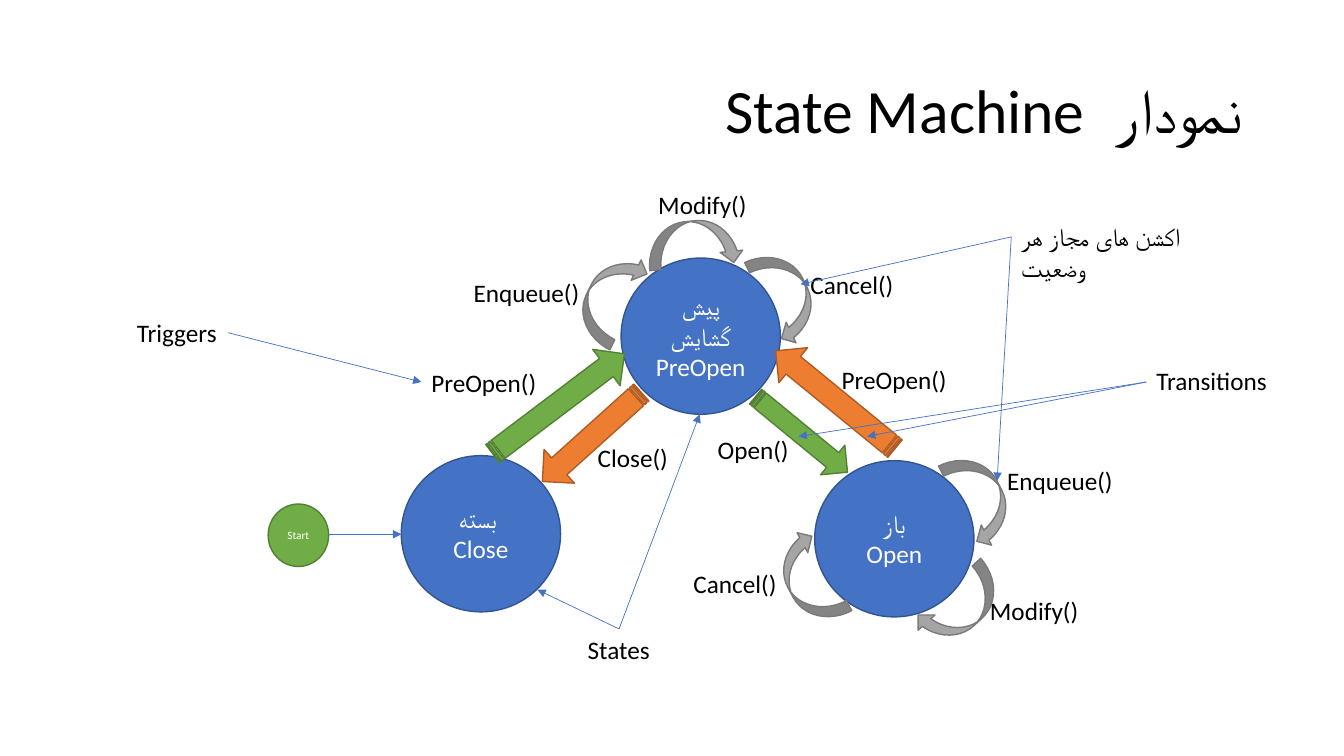
from dataclasses import dataclass

from lxml.etree import SubElement
from pptx import Presentation
from pptx.dml.color import RGBColor
from pptx.enum.shapes import MSO_CONNECTOR as Connector, MSO_SHAPE as Shape
from pptx.enum.text import MSO_ANCHOR as Anchor, PP_ALIGN as Align
from pptx.oxml.ns import qn
from pptx.util import Inches, Pt


@dataclass(frozen=True)
class Theme:
    font: str = "Calibri"
    title_size: int = 44
    text_size: int = 18
    start_size: int = 8
    text: str = "000000"
    light: str = "FFFFFF"
    pointer: str = "4472C4"
    # Fill and outline pairs
    state: tuple = ("4472C4", "325491")
    forward: tuple = ("70AD47", "538035")
    back: tuple = ("ED7D31", "AF5C24")
    action: tuple = ("A5A5A5", "7A7A7A")


theme = Theme()
deck = Presentation()
deck.slide_width, deck.slide_height = Inches(13.33), Inches(7.5)
page = deck.slides.add_slide(deck.slide_layouts[6])


def add_figure(kind, left, top, width, height, colors, rotation=0):
    figure = page.shapes.add_shape(
        kind, Inches(left), Inches(top), Inches(width), Inches(height))
    fill, outline = colors
    figure.shadow.inherit = False
    figure.fill.solid()
    figure.fill.fore_color.rgb = RGBColor.from_string(fill)
    figure.line.color.rgb = RGBColor.from_string(outline)
    figure.line.width = Pt(1)
    figure.rotation = rotation
    return figure


def write(box, lines, size, color, align, anchor=Anchor.MIDDLE, wrap=True):
    frame = box.text_frame
    frame.word_wrap = wrap
    frame.vertical_anchor = anchor
    frame.text = "\n".join(lines)
    for para in frame.paragraphs:
        para.alignment = align
        para.font.name = theme.font
        para.font.size = Pt(size)
        para.font.color.rgb = RGBColor.from_string(color)


# Title, read from right to left
title = page.shapes.add_textbox(Inches(0.92), Inches(0.4), Inches(11.5), Inches(1.45))
write(title, ["نمودار  State Machine "], theme.title_size, theme.text, Align.RIGHT)
title_para = title.text_frame.paragraphs[0]
title_para.line_spacing = 0.9
title_para._p.get_or_add_pPr().set("rtl", "1")

# States
for left, top, lines in [
    (6.16, 2.56, ["پیش گشایش", "PreOpen"]),
    (3.98, 4.52, ["بسته ", "Close"]),
    (8.08, 4.57, ["باز", "Open"]),
]:
    state = add_figure(Shape.OVAL, left, top, 1.58, 1.55, theme.state)
    write(state, lines, theme.text_size, theme.light, Align.CENTER)

# Transitions between states
for left, top, width, height, rotation, colors in [
    (4.72, 3.78, 1.64, 0.45, 322.9, theme.forward),
    (7.36, 4.12, 1.18, 0.38, 39.4, theme.forward),
    (5.21, 4.11, 1.32, 0.45, 138, theme.back),
    (7.52, 3.74, 1.53, 0.45, 219.3, theme.back),
]:
    add_figure(Shape.STRIPED_RIGHT_ARROW, left, top, width, height, colors, rotation)

# Actions that stay within a state
for left, top, rotation in [
    (9.25, 4.72, 63),
    (9.05, 5.8, 137.8),
    (7.55, 5.52, 241.8),
    (7.32, 2.71, 64.2),
    (5.58, 2.72, 296),
    (6.42, 2.19, 354.4),
]:
    add_figure(Shape.CURVED_DOWN_ARROW, left, top, 0.95, 0.45, theme.action, rotation)

# Start marker
start = add_figure(Shape.FLOWCHART_CONNECTOR, 2.66, 5, 0.6, 0.62, theme.forward)
write(start, ["Start"], theme.start_size, theme.light, Align.CENTER)

# Labels; only the long one wraps
allowed_actions = "اکشن های مجاز هر وضعیت"
for left, top, width, label in [
    (9.89, 4.57, 1.26, "Enqueue()"),
    (9.72, 5.86, 1.09, "Modify()"),
    (6.78, 5.59, 1.04, "Cancel()"),
    (7.94, 2.62, 1.04, "Cancel()"),
    (6.43, 1.83, 1.09, "Modify()"),
    (4.6, 2.7, 1.26, "Enqueue()"),
    (4.18, 3.59, 1.26, "PreOpen()"),
    (8.25, 3.57, 1.26, "PreOpen()"),
    (5.83, 4.34, 0.91, "Close()"),
    (7.02, 4.26, 0.92, "Open()"),
    (10.03, 2.15, 2.33, allowed_actions),
    (1.26, 3.1, 1, "Triggers"),
    (5.73, 6.24, 0.82, "States"),
    (11.37, 3.58, 1.31, "Transitions"),
]:
    box = page.shapes.add_textbox(Inches(left), Inches(top), Inches(width), Inches(0.4))
    write(box, [label], theme.text_size, theme.text, Align.LEFT, Anchor.TOP,
          wrap=label == allowed_actions)

# Pointers, each origin with its targets
for origin, targets in [
    ((3.26, 5.3), [(3.98, 5.3)]),
    ((10.03, 2.35), [(7.94, 2.82), (9.89, 4.77)]),
    ((2.26, 3.3), [(4.18, 3.79)]),
    ((6.14, 6.24), [(5.33, 5.85), (6.94, 4.11)]),
    ((11.37, 3.79), [(8.6, 4.33), (7.92, 4.33)]),
]:
    for target in targets:
        pointer = page.shapes.add_connector(
            Connector.STRAIGHT, *map(Inches, origin + target))
        pointer.line.color.rgb = RGBColor.from_string(theme.pointer)
        pointer.line.width = Pt(0.5)
        SubElement(pointer.line._get_or_add_ln(), qn("a:tailEnd"), type="triangle")
        SubElement(pointer._element.spPr, qn("a:effectLst"))

deck.save("out.pptx")
